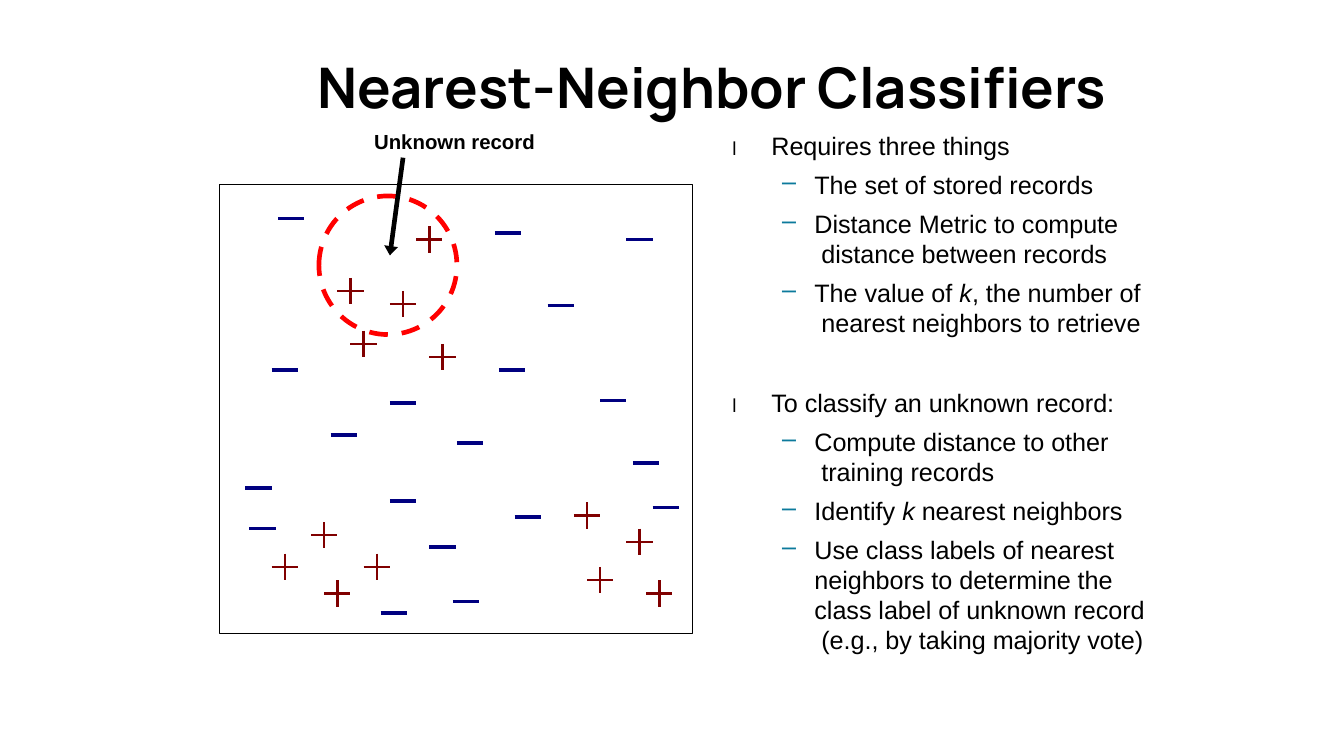
from dataclasses import dataclass
from typing import NamedTuple

from lxml.etree import SubElement
from pptx import Presentation
from pptx.dml.color import RGBColor as Color
from pptx.enum.dml import MSO_LINE as Dash
from pptx.enum.shapes import MSO_CONNECTOR as Connector, MSO_SHAPE as Shape
from pptx.enum.text import MSO_ANCHOR as Anchor, MSO_AUTO_SIZE as AutoSize, PP_ALIGN as Align
from pptx.oxml.ns import qn
from pptx.util import Inches, Pt


@dataclass(frozen=True)
class Theme:
    """Colours, fonts and sizes of the slide."""
    ink: str = "000000"
    plus: str = "800000"
    minus: str = "000080"
    circle: str = "FF0000"
    dash: str = "0C7A9C"
    heading: str = "Manrope"
    body: str = "Arial"
    title_size: float = 30
    text_size: float = 13.5
    marker_size: float = 10.1
    label_size: float = 10.9


class Box(NamedTuple):
    """A rectangle in inches."""
    left: float
    top: float
    width: float
    height: float


THEME = Theme()
COLUMNS, ROWS = 36, 34
PLUSES = [(10, 8.1), (14, 9.1), (11, 12.1), (16, 4.2), (17, 13.1), (5, 29), (12, 29),
          (9, 31), (8, 26.6), (32, 27.1), (33.5, 31), (29, 30), (28, 25.1)]
MINUSES = [(5, 14.1), (23.5, 25.2), (32.5, 21.1), (18.8, 31.6), (19.1, 19.6), (26, 9.2),
           (9.5, 19), (22, 3.7), (3, 23), (5.5, 2.6), (30, 16.4), (22.3, 14.1), (14, 24),
           (3.3, 26.1), (32, 4.2), (14, 16.6), (17, 27.5), (13.3, 32.5), (34, 24.5)]
ACROSS = ((-1, 0), (1, 0))
DOWN = ((0, -1), (0, 1))
ITALIC = {"italic": True}
MARKER = ("l\t", {"size": Pt(THEME.marker_size)})
NEEDS = [
    [("The set of stored records", {})],
    [("Distance Metric to compute\n distance between records", {})],
    [("The value of ", {}), ("k", ITALIC),
     (", the number of\n nearest neighbors to retrieve", {})],
]
STEPS = [
    [("Compute distance to other\n training records", {})],
    [("Identify ", {}), ("k ", ITALIC), ("nearest neighbors", {})],
    [("Use class labels of nearest \nneighbors to determine the \nclass label of "
      "unknown record\n (e.g., by taking majority vote)", {})],
]


def apply(target, formats):
    """Set each attribute in the dict on the target."""
    for name, value in formats.items():
        setattr(target, name, value)


def prepare_frame(shape, inset=0.01):
    """Give a text shape its insets, wrapping and anchor, and return its frame."""
    frame = shape.text_frame
    apply(frame, {"margin_left": 0, "margin_right": 0, "margin_bottom": 0,
                  "margin_top": Inches(inset), "word_wrap": True,
                  "auto_size": AutoSize.NONE, "vertical_anchor": Anchor.TOP})
    return frame


def add_box(page, box, inset=0.01):
    """Add a text box and return its frame."""
    return prepare_frame(page.shapes.add_textbox(*map(Inches, box)), inset)


def write(para, spans, face, size, bold=False):
    """Fill a paragraph with formatted spans, breaking lines at newlines."""
    para.alignment = Align.LEFT
    for text, formats in spans:
        for index, line in enumerate(text.split("\n")):
            if index:
                para.add_line_break()
                SubElement(para._p[-1], qn("a:rPr"), sz=str(int(size * 100)))
            span = para.add_run()
            span.text = line
            apply(span.font, {"name": face, "size": Pt(size), "bold": bold, **formats})
            span.font.color.rgb = Color.from_string(THEME.ink)


def write_heading(para, text, space=0):
    """Write a marked list heading with its text at a tab stop."""
    properties = para._p.get_or_add_pPr()
    properties.set("marL", str(Inches(0.01)))
    stops = SubElement(properties, qn("a:tabLst"))
    SubElement(stops, qn("a:tab"), pos=str(Inches(0.29)), algn="l")
    para.space_before = Pt(space)
    write(para, [MARKER, (text, {})], THEME.body, THEME.text_size)


def write_item(para, spans, space=4.6):
    """Write a dashed list item with a hanging indent."""
    properties = para._p.get_or_add_pPr()
    properties.set("marL", str(Inches(0.62)))
    properties.set("indent", str(Inches(-0.24)))
    SubElement(SubElement(properties, qn("a:buClr")), qn("a:srgbClr"), val=THEME.dash)
    SubElement(properties, qn("a:buChar"), char="–")
    para.space_before = Pt(space)
    write(para, spans, THEME.body, THEME.text_size)


def place_title(page, box):
    """Place and format the title placeholder."""
    title = page.shapes.title
    apply(title, dict(zip(Box._fields, map(Inches, box))))
    frame = prepare_frame(title)
    write(frame.paragraphs[0], [("Nearest-Neighbor Classifiers", {})],
          THEME.heading, THEME.title_size, True)


def place_lists(page, box):
    """Place the first heading and the list body under it."""
    heading = add_box(page, box._replace(width=box.width * 0.67, height=0.24))
    write_heading(heading.paragraphs[0], "Requires three things")
    frame = add_box(page, box._replace(top=box.top + 0.22, height=box.height - 0.22), 0.08)
    for index, spans in enumerate(NEEDS):
        para = frame.add_paragraph() if index else frame.paragraphs[0]
        write_item(para, spans, 4.6 if index else 0)
    write_heading(frame.add_paragraph(), "To classify an unknown record:", 26.8)
    for spans in STEPS:
        write_item(frame.add_paragraph(), spans)


def style_line(shape, color, width, dash=None):
    """Give a shape or connector a plain line."""
    apply(shape.line, {"width": Pt(width), "dash_style": dash})
    shape.line.color.rgb = Color.from_string(color)


def style_outline(shape, color, width, dash=None):
    """Leave a shape with its outline alone."""
    shape.shadow.inherit = False
    shape.fill.background()
    style_line(shape, color, width, dash)


def place_signs(page, point, centres, strokes, color, width):
    """Draw one sign of the given strokes round each centre."""
    ends = [[point(column + x, row + y) for x, y in stroke]
            for column, row in centres for stroke in strokes]
    builder = page.shapes.build_freeform(*ends[0][0])
    for start, end in ends:
        builder.move_to(*start)
        builder.add_line_segments([end], close=False)
    style_outline(builder.convert_to_shape(), color, width)


def place_diagram(page, box):
    """Place the record plot, the neighbourhood circle and the unknown record."""
    def point(column, row):
        return (Inches(box.left + box.width * column / COLUMNS),
                Inches(box.top + box.height * row / ROWS))

    def region(column, row, width, height):
        left, top = point(column, row)
        right, bottom = point(column + width, row + height)
        return left, top, right - left, bottom - top

    frame = page.shapes.add_shape(Shape.RECTANGLE, *region(0, 0, COLUMNS, ROWS))
    style_outline(frame, THEME.ink, 0.25)
    place_signs(page, point, PLUSES, (ACROSS, DOWN), THEME.plus, 1.33)
    place_signs(page, point, MINUSES, (ACROSS,), THEME.minus, 1.92)
    circle = page.shapes.add_shape(Shape.OVAL, *region(7.6, 0.9, 10.5, 10.5))
    style_outline(circle, THEME.circle, 2.5, Dash.DASH)
    arrow = page.shapes.add_connector(Connector.STRAIGHT, *point(14, -2), *point(13, 5.4))
    style_line(arrow, THEME.ink, 2.5)
    SubElement(arrow.line._get_or_add_ln(), qn("a:tailEnd"), type="triangle", w="med", len="sm")
    SubElement(arrow._element.spPr, qn("a:effectLst"))
    label = page.shapes.add_textbox(*region(11.8, -4.25, 12.5, 1.9))
    write(prepare_frame(label).paragraphs[0], [("Unknown record", {})],
          THEME.body, THEME.label_size, True)


def main():
    """Build the slide and save it."""
    deck = Presentation()
    apply(deck, {"slide_width": Inches(10), "slide_height": Inches(10 * 9 / 16)})
    page = deck.slides.add_slide(deck.slide_layouts[5])
    place_title(page, Box(2.36, 0.38, 6.49, 0.53))
    place_lists(page, Box(5.44, 0.96, 3.1, 3.97))
    place_diagram(page, Box(1.63, 1.37, 3.52, 3.34))
    deck.save("out.pptx")


if __name__ == "__main__":
    main()
